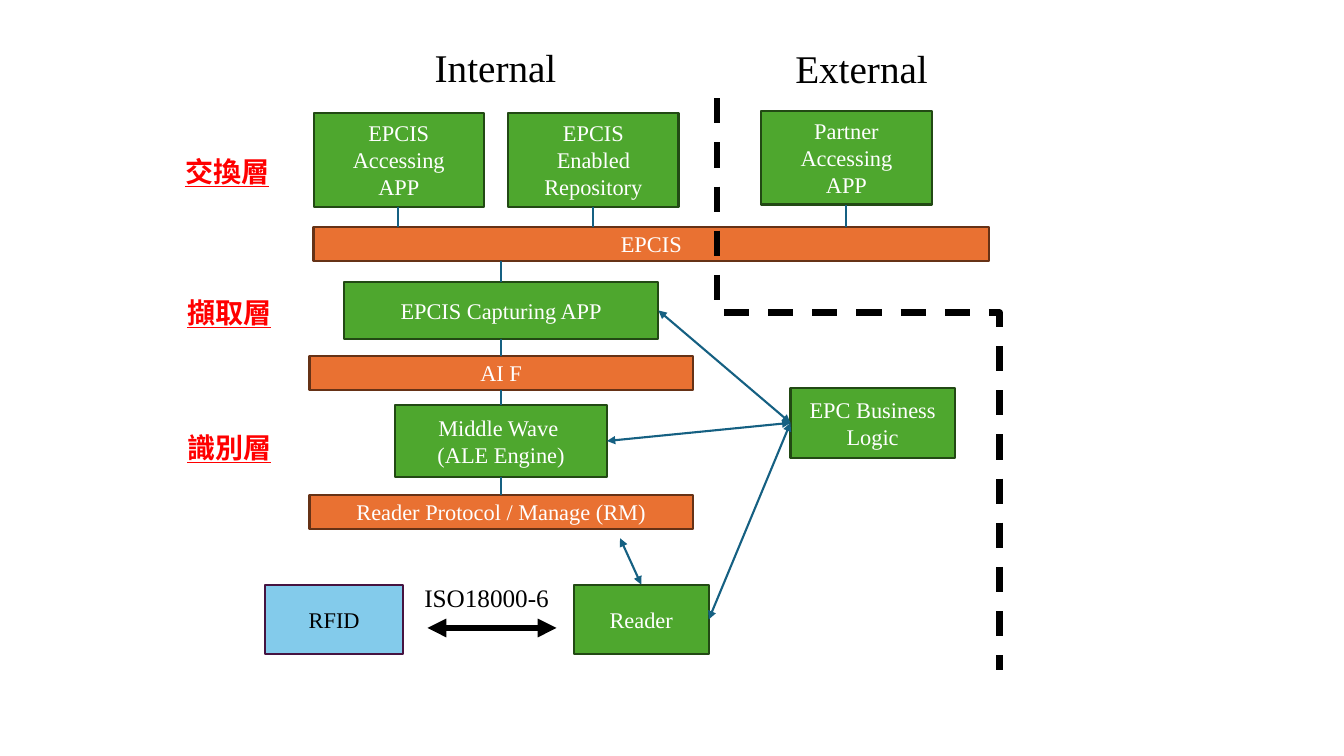
import pptx
import pptx.dml.color
import pptx.enum.dml
import pptx.enum.shapes
import pptx.enum.text
import pptx.oxml.ns
import pptx.util
from lxml import etree

PX = 9144  # EMU in one px, 100 px to the inch
FONT = "Times New Roman"
GREEN, ORANGE, SKY = ("4EA72E", "224914"), ("E97132", "663216"), ("83CBEB", "461340")
WHITE, BLACK, RED, TEAL = "FFFFFF", "000000", "FF0000", "156082"
TOP, LEFT, BOTTOM, RIGHT = range(4)  # connection sites of a rectangle
CENTER = pptx.enum.text.PP_ALIGN.CENTER
CONNECTOR = pptx.enum.shapes.MSO_CONNECTOR


def px(*lengths):
    return [pptx.util.Emu(length * PX) for length in lengths]


def color(value):
    return pptx.dml.color.RGBColor.from_string(value)


def write(shape, text, size, ink, align=None):
    frame = shape.text_frame
    frame.word_wrap = True
    frame.text = text
    for paragraph in frame.paragraphs:
        paragraph.alignment = align
        paragraph.font.size = pptx.util.Pt(size)
        paragraph.font.name = FONT
        paragraph.font.color.rgb = color(ink)
    return frame


def add_block(slide, box, text, colors=GREEN, ink=WHITE):
    shape = slide.shapes.add_shape(pptx.enum.shapes.MSO_SHAPE.RECTANGLE, *px(*box))
    shape.shadow.inherit = False
    fill, border = colors
    shape.fill.solid()
    shape.fill.fore_color.rgb = color(fill)
    shape.line.color.rgb = color(border)
    shape.line.width = pptx.util.Pt(1.5)
    frame = write(shape, text, 16, ink, CENTER)
    frame.vertical_anchor = pptx.enum.text.MSO_ANCHOR.MIDDLE
    return shape


def add_label(slide, box, text, size, ink=BLACK, align=None):
    shape = slide.shapes.add_textbox(*px(*box))
    frame = write(shape, text, size, ink, align)
    frame.auto_size = pptx.enum.text.MSO_AUTO_SIZE.SHAPE_TO_FIT_TEXT
    return frame


def add_line(slide, ends=(0, 0, 0, 0), ink=TEAL, width=1.5, arrows=False,
             dashed=False, kind=CONNECTOR.STRAIGHT):
    connector = slide.shapes.add_connector(kind, *px(*ends))
    connector.line.color.rgb = color(ink)
    connector.line.width = pptx.util.Pt(width)
    if dashed:
        connector.line.dash_style = pptx.enum.dml.MSO_LINE.DASH
    if arrows:
        outline = connector.line._get_or_add_ln()
        for end in ("a:headEnd", "a:tailEnd"):
            etree.SubElement(outline, pptx.oxml.ns.qn(end), type="triangle")
    properties = connector._element.spPr
    etree.SubElement(properties, pptx.oxml.ns.qn("a:effectLst"))
    return connector


def join(slide, start, start_site, end, end_site, arrows=False):
    connector = add_line(slide, arrows=arrows)
    connector.begin_connect(start, start_site)
    connector.end_connect(end, end_site)


def add_exchange_layer(slide, box):
    """Applications hanging on the wide EPCIS bar."""
    left, top, width, height = box
    bar_height, app_width, app_height = 34, 169, 93
    bar_top = top + height - bar_height
    add_block(slide, (left, bar_top, width, bar_height), "EPCIS", ORANGE)
    for dx, dy, text in (
        (0, 2, "EPCIS\nAccessing\nAPP"),
        (193, 2, "EPCIS\nEnabled\nRepository"),
        (444, 0, "Partner\nAccessing\nAPP"),
    ):
        add_block(slide, (left + dx, top + dy, app_width, app_height), text)
        middle = left + dx + app_width // 2
        add_line(slide, (middle, top + dy + app_height, middle, bar_top))


def add_capture_stack(slide, box, bar_bottom):
    """Centred column of blocks, each joined to the one above."""
    left, top, width, _ = box
    middle = left + width // 2
    blocks = []
    for dy, block_width, height, text, colors in (
        (0, 312, 56, "EPCIS Capturing APP", GREEN),
        (73, width, 34, "AI F", ORANGE),
        (122, 210, 71, "Middle Wave \n(ALE Engine)", GREEN),
        (211, width, 34, "Reader Protocol / Manage (RM)", ORANGE),
    ):
        block_box = (middle - block_width // 2, top + dy, block_width, height)
        blocks.append(add_block(slide, block_box, text, colors))
    add_line(slide, (middle, bar_bottom, middle, top))
    for upper, lower in zip(blocks, blocks[1:]):
        join(slide, upper, BOTTOM, lower, TOP)
    return blocks


def add_reader_row(slide, box):
    """RFID tag, air protocol and reader."""
    left, top, width, height = box
    reader_width = 134
    reader_left = left + width - reader_width
    reader = add_block(slide, (reader_left, top, reader_width, height), "Reader")
    add_block(slide, (left, top, 137, height), "RFID", SKY, BLACK)
    add_label(slide, (left + 148, top - 7, 150, 40), "ISO18000-6", 18)
    add_line(slide, (left + 161, top + 43, left + 289, top + 43), BLACK, 4.5, arrows=True)
    reader_middle = reader_left + reader_width // 2
    add_line(slide, (reader_middle, top, reader_middle - 21, top - 46), arrows=True)
    return reader


def add_business_logic(slide, box, partners):
    logic = add_block(slide, box, "EPC Business Logic")
    for partner in partners:
        join(slide, partner, RIGHT, logic, LEFT, arrows=True)


def add_boundary(slide, box):
    """Dashed step between the internal and external sides."""
    left, top, width, height = box
    # The elbow runs sideways, so its frame is the box turned about its centre
    frame_left = left + (width - height) // 2
    frame_top = top + (height - width) // 2
    ends = (frame_left + height, frame_top, frame_left, frame_top + width)
    connector = add_line(slide, ends, BLACK, 4.5, dashed=True, kind=CONNECTOR.ELBOW)
    properties = connector._element.spPr
    properties.find(pptx.oxml.ns.qn("a:xfrm")).set("rot", str(270 * 60000))
    geometry = properties.find(pptx.oxml.ns.qn("a:prstGeom"))
    adjustments = geometry.find(pptx.oxml.ns.qn("a:avLst"))
    if adjustments is None:
        adjustments = etree.SubElement(geometry, pptx.oxml.ns.qn("a:avLst"))
    etree.SubElement(adjustments, pptx.oxml.ns.qn("a:gd"), name="adj1", fmla="val 37500")


def add_headings(slide, box):
    left, top, width, height = box
    for dx, dy, text in ((0, 0, "Internal"), (363, 1, "External")):
        add_label(slide, (left + dx, top + dy, width, height), text, 28, align=CENTER)


def add_layer_names(slide, box):
    left, top, width, height = box
    for dx, dy, text in ((0, 0, "交換層"), (2, 140, "擷取層"), (2, 274, "識別層")):
        frame = add_label(slide, (left + dx, top + dy, width, height), text, 20, RED)
        font = frame.paragraphs[0].font
        font.bold = True
        font.underline = True


def main():
    presentation = pptx.Presentation()
    presentation.slide_width, presentation.slide_height = px(1333, 750)
    slide = presentation.slides.add_slide(presentation.slide_layouts[6])

    add_exchange_layer(slide, (311, 110, 670, 149))
    capture, _, middleware, _ = add_capture_stack(slide, (307, 280, 380, 245), 259)
    reader = add_reader_row(slide, (263, 580, 440, 69))
    add_business_logic(slide, (784, 385, 163, 69), (capture, middleware, reader))
    add_boundary(slide, (712, 98, 280, 567))
    add_layer_names(slide, (174, 148, 113, 44))
    add_headings(slide, (392, 38, 199, 57))

    presentation.save("out.pptx")


if __name__ == "__main__":
    main()
